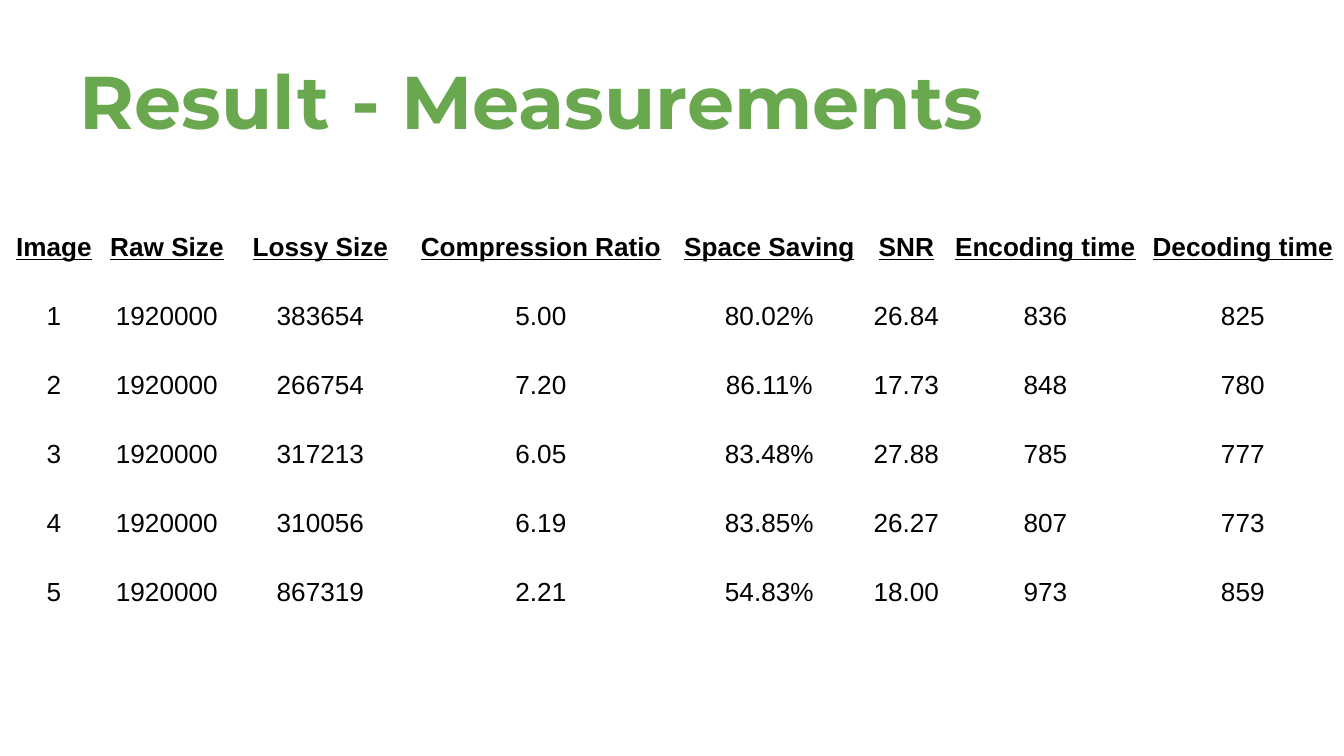
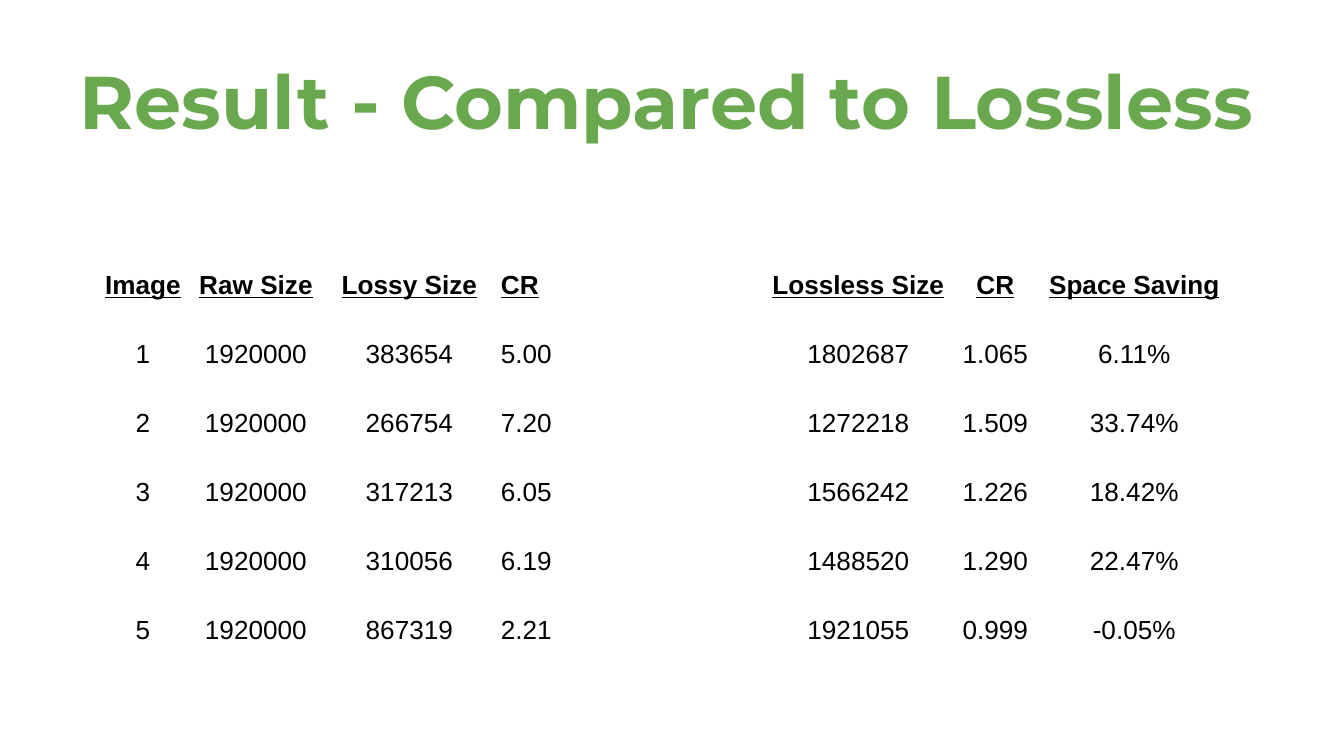
from pptx import Presentation
from pptx.dml.color import RGBColor
from pptx.enum.text import MSO_ANCHOR, PP_ALIGN
from pptx.util import Pt

PX = 914400 / 134.4
GREEN = "6AA84F"
BLACK = "000000"
COLUMN_WIDTHS = [94, 132, 175, 266, 191, 83, 195, 200]
HEADER_HEIGHT, ROW_HEIGHT = 125, 69


def px(length):
    return round(length * PX)


def write(frame, text, font="Arial", size=14, color=BLACK, bold=False,
          underline=False, align=PP_ALIGN.CENTER, spacing=1.15):
    paragraph = frame.paragraphs[0]
    paragraph.alignment = align
    paragraph.line_spacing = spacing
    run = paragraph.add_run()
    run.text = text
    run.font.name = font
    run.font.size = Pt(size)
    run.font.bold = bold
    run.font.underline = underline
    run.font.color.rgb = RGBColor.from_string(color)


lossy_results = [
    ["Image", "Raw Size", "Lossy Size"],
    ["1", "1920000", "383654", "5.00"],
    ["2", "1920000", "266754", "7.20"],
    ["3", "1920000", "317213", "6.05"],
    ["4", "1920000", "310056", "6.19"],
    ["5", "1920000", "867319", "2.21"],
]
measurements = [
    ["Compression Ratio", "Space Saving", "SNR", "Encoding time", "Decoding time"],
    ["80.02%", "26.84", "836", "825"],
    ["86.11%", "17.73", "848", "780"],
    ["83.48%", "27.88", "785", "777"],
    ["83.85%", "26.27", "807", "773"],
    ["54.83%", "18.00", "973", "859"],
]
lossless_results = [
    ["CR", "Lossless Size", "CR", "Space Saving"],
    ["1802687", "1.065", "6.11%"],
    ["1272218", "1.509", "33.74%"],
    ["1566242", "1.226", "18.42%"],
    ["1488520", "1.290", "22.47%"],
    ["1921055", "0.999", "-0.05%"],
]
pages = [
    ("Result - Measurements", measurements, 7, 140, []),
    ("Result - Compared to Lossless", lossless_results, 96, 178, [3]),
]

deck = Presentation()
deck.slide_width, deck.slide_height = px(1344), px(756)

for heading, further_results, left, top, left_aligned in pages:
    slide = deck.slides.add_slide(deck.slide_layouts[6])
    title = slide.shapes.add_textbox(px(67), px(31), px(1210), px(126)).text_frame
    title.word_wrap = True
    title.vertical_anchor = MSO_ANCHOR.BOTTOM
    title.margin_left = title.margin_right = px(13)
    title.margin_top = title.margin_bottom = px(13)
    write(title, heading, font="Montserrat", size=40, color=GREEN, bold=True,
          align=PP_ALIGN.LEFT, spacing=1.0)

    rows = [lossy + further for lossy, further in zip(lossy_results, further_results)]
    widths = COLUMN_WIDTHS[:len(rows[0])]
    heights = [HEADER_HEIGHT] + [ROW_HEIGHT] * (len(rows) - 1)
    results = slide.shapes.add_table(len(rows), len(widths), px(left), px(top),
                                     px(sum(widths)), px(sum(heights))).table
    results.first_row = results.horz_banding = False
    for column, width in zip(results.columns, widths):
        column.width = px(width)
    for row_index, values in enumerate(rows):
        results.rows[row_index].height = px(heights[row_index])
        is_header = row_index == 0
        for column_index, value in enumerate(values):
            cell = results.cell(row_index, column_index)
            cell.fill.background()
            cell.vertical_anchor = MSO_ANCHOR.BOTTOM
            cell.margin_left = cell.margin_right = px(4)
            cell.margin_top = cell.margin_bottom = px(3)
            align = PP_ALIGN.LEFT if column_index in left_aligned else PP_ALIGN.CENTER
            write(cell.text_frame, value, bold=is_header, underline=is_header, align=align)

deck.save("out.pptx")
